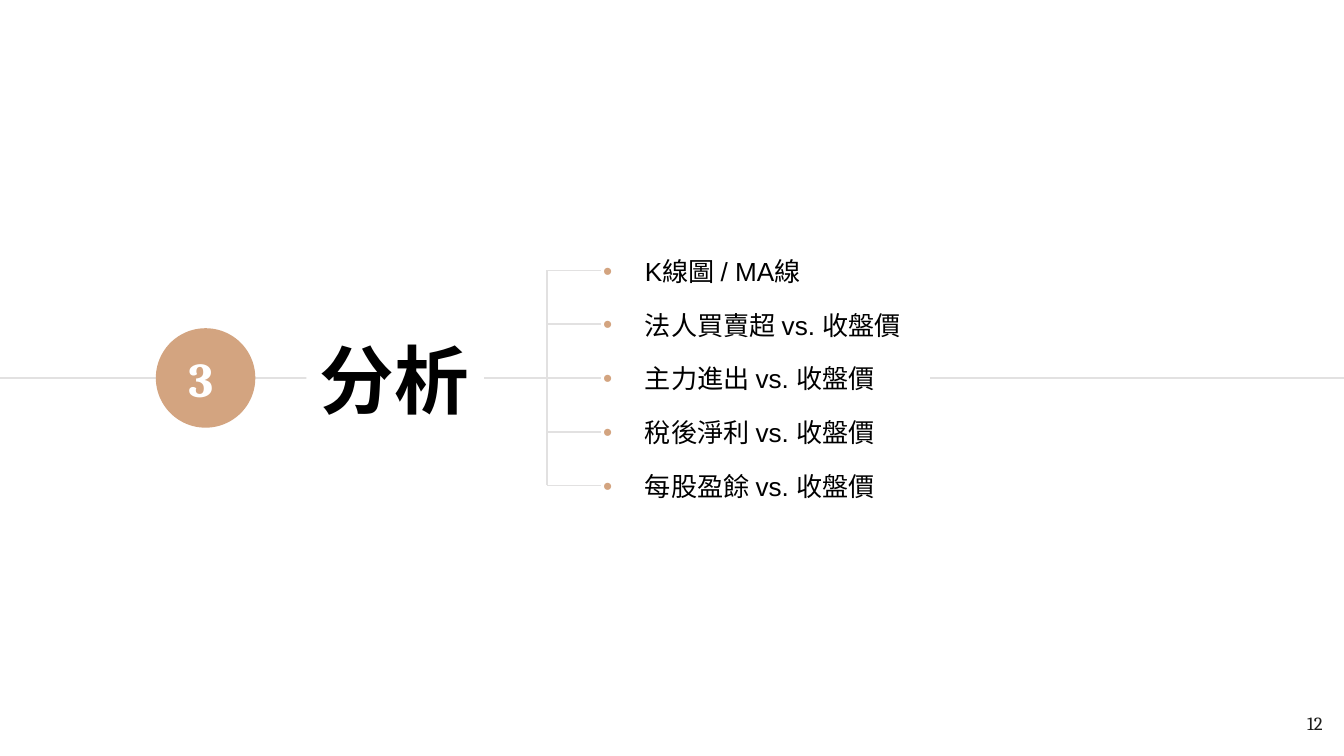
import pptx
import pptx.dml.color
import pptx.enum.shapes
import pptx.enum.text
import pptx.oxml.ns
import pptx.util
from dataclasses import dataclass
from lxml import etree

Inches, Pt = pptx.util.Inches, pptx.util.Pt
SHAPE = pptx.enum.shapes.MSO_SHAPE
ALIGN = pptx.enum.text.PP_ALIGN
ANCHOR = pptx.enum.text.MSO_ANCHOR
qn = pptx.oxml.ns.qn


@dataclass(frozen=True)
class Theme:
    paper: str = "FFFFFF"
    ink: str = "000000"
    page_ink: str = "1D1D1B"
    accent: str = "D3A480"
    rule: str = "E2E1E1"
    serif: str = "Cambria"
    sans: str = "Arial"
    asian: str = "Noto Sans CJK SC"
    title_size: int = 40
    badge_size: int = 26
    topic_size: int = 14
    page_size: int = 10


THEME = Theme()
WIDTH = 10
HEIGHT = WIDTH * 9 / 16
MIDDLE = HEIGHT / 2
TOPICS = [
    "K線圖 / MA線",
    "法人買賣超 vs. 收盤價",
    "主力進出 vs. 收盤價",
    "稅後淨利 vs. 收盤價",
    "每股盈餘 vs. 收盤價",
]
ROW = 0.4  # distance between topics
TRUNK, TWIG = 4.07, 4.47  # left and right ends of the branches


def colour(code):
    return pptx.dml.color.RGBColor.from_string(code)


def add_line(page, start, end):
    points = [Inches(value) for value in (*start, *end)]
    line = page.shapes.add_connector(pptx.enum.shapes.MSO_CONNECTOR.STRAIGHT, *points)
    line.line.color.rgb = colour(THEME.rule)
    line.line.width = Pt(1)
    etree.SubElement(line._element.spPr, qn("a:effectLst"))


def add_filled(page, kind, place, fill):
    box = page.shapes.add_shape(kind, *map(Inches, place))
    box.shadow.inherit = False
    box.fill.solid()
    box.fill.fore_color.rgb = colour(fill)
    box.line.fill.background()
    return box


def set_frame(box, anchor, inset=0.1):
    frame = box.text_frame
    frame.word_wrap = True
    frame.vertical_anchor = anchor
    frame.margin_left = frame.margin_right = Inches(0.1)
    frame.margin_top = frame.margin_bottom = Inches(inset)
    return frame


def add_span(para, text, size, font, ink, bold=False, align=ALIGN.LEFT):
    para.alignment = align
    span = para.add_run()
    span.text = text
    span.font.size = Pt(size)
    span.font.name = font
    span.font.bold = bold
    span.font.color.rgb = colour(ink)
    asian = etree.SubElement(span._r.get_or_add_rPr(), qn("a:ea"))
    asian.set("typeface", THEME.asian)


def add_bullet(para):
    props = para._p.get_or_add_pPr()
    props.set("marL", str(Inches(0.31)))
    props.set("indent", str(-Inches(0.31)))
    tint = etree.SubElement(props, qn("a:buClr"))
    etree.SubElement(tint, qn("a:srgbClr")).set("val", THEME.accent)
    etree.SubElement(props, qn("a:buFont")).set("typeface", THEME.sans)
    etree.SubElement(props, qn("a:buChar")).set("char", "•")


def add_label(page, place, anchor, *style, **options):
    box = page.shapes.add_textbox(*map(Inches, place))
    add_span(set_frame(box, anchor).paragraphs[0], *style, **options)


def add_title(page, text):
    box = add_filled(page, SHAPE.RECTANGLE, (2.28, 2.39, 1.32, 0.86), THEME.paper)
    para = set_frame(box, ANCHOR.BOTTOM).paragraphs[0]
    add_span(para, text, THEME.title_size, THEME.asian, THEME.ink, bold=True)


def add_badge(page, number):
    size = 0.74
    add_filled(page, SHAPE.OVAL, (1.16, MIDDLE - size / 2, size, size), THEME.accent)
    add_label(page, (1.2, 2.51, 0.59, 0.61), ANCHOR.MIDDLE, number, THEME.badge_size,
              THEME.serif, THEME.paper, bold=True, align=ALIGN.CENTER)


def add_topics(page, topics):
    box = add_filled(page, SHAPE.RECTANGLE, (4.39, 1.85, 2.53, 1.95), THEME.paper)
    frame = set_frame(box, ANCHOR.TOP, inset=0.05)
    for index, topic in enumerate(topics):
        para = frame.add_paragraph() if index else frame.paragraphs[0]
        para.line_spacing = Pt(16.8)
        para.space_after = Pt(12)
        add_bullet(para)
        add_span(para, topic, THEME.topic_size, THEME.sans, THEME.ink)


def add_branches(page, count):
    top = MIDDLE - ROW * (count - 1) / 2
    rows = [top + ROW * index for index in range(count)]
    for row in rows:
        add_line(page, (TRUNK, row), (TWIG, row))
    add_line(page, (TRUNK, rows[0]), (TRUNK, rows[-1]))


def main():
    deck = pptx.Presentation()
    deck.slide_width, deck.slide_height = Inches(WIDTH), Inches(HEIGHT)
    page = deck.slides.add_slide(deck.slide_layouts[6])

    # Base line, partly covered by the title and topic boxes
    add_line(page, (0, MIDDLE), (WIDTH, MIDDLE))

    # Section number and title
    add_title(page, "分析")
    add_badge(page, "3")

    # Topics with their branches
    add_topics(page, TOPICS)
    add_branches(page, len(TOPICS))

    # Page number
    add_label(page, (9.34, 5.21, 0.6, 0.41), ANCHOR.TOP, "12", THEME.page_size,
              THEME.serif, THEME.page_ink, align=ALIGN.RIGHT)

    deck.save("out.pptx")


if __name__ == "__main__":
    main()
